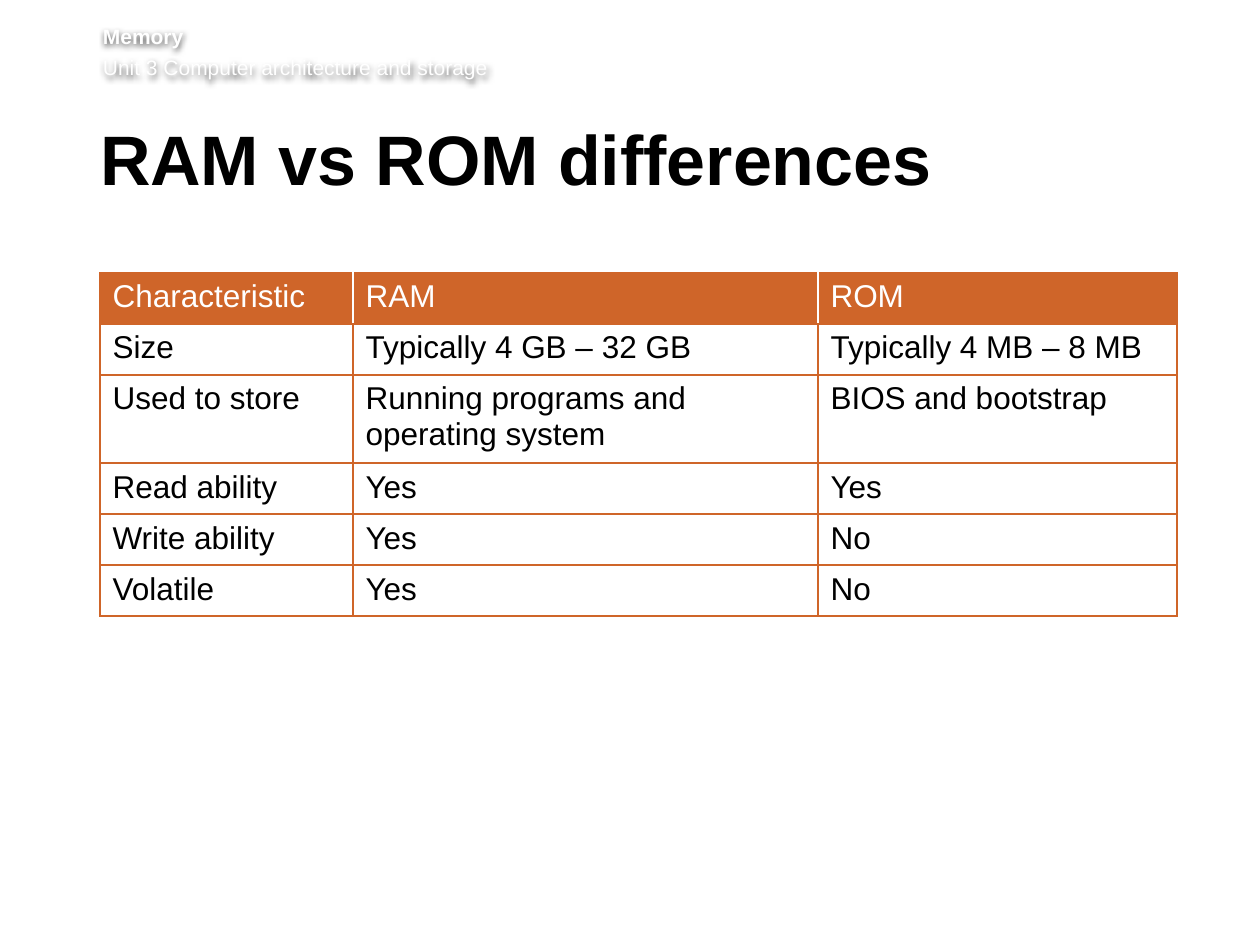
from typing import NamedTuple

from lxml.etree import SubElement
from pptx import Presentation
from pptx.dml.color import RGBColor
from pptx.enum.text import MSO_ANCHOR, MSO_AUTO_SIZE, PP_ALIGN
from pptx.oxml import parse_xml
from pptx.oxml.ns import nsdecls, qn
from pptx.util import Emu, Pt

PX = 914400 / 126
FONT = "Arial"
ORANGE, WHITE, BLACK = "CF6529", "FFFFFF", "000000"


class Row(NamedTuple):
    characteristic: str
    ram: str
    rom: str
    height: int = 51


ROWS = [
    Row("Characteristic", "RAM", "ROM"),
    Row("Size", "Typically 4 GB – 32 GB", "Typically 4 MB – 8 MB"),
    Row("Used to store", "Running programs and operating system",
        "BIOS and bootstrap", 83),
    Row("Read ability", "Yes", "Yes"),
    Row("Write ability", "Yes", "No"),
    Row("Volatile", "Yes", "No"),
]
COLUMN_WIDTHS = [253, 465, 359]


def px(n: int) -> Emu:
    return Emu(round(n * PX))


def rgb(color: str) -> RGBColor:
    return RGBColor.from_string(color)


def style(p, size: int, color: str, bold: bool = False) -> None:
    p.font.name, p.font.size, p.font.bold = FONT, Pt(size), bold
    p.font.color.rgb = rgb(color)


def set_margins(tf, left: int, top: int, right: int, bottom: int) -> None:
    tf.margin_left, tf.margin_top = px(left), px(top)
    tf.margin_right, tf.margin_bottom = px(right), px(bottom)


def add_border(cell, side: str, color: str) -> None:
    ln = SubElement(cell._tc.get_or_add_tcPr(), qn(f"a:ln{side}"), w=str(Pt(1)))
    fill = SubElement(ln, qn("a:solidFill"))
    SubElement(fill, qn("a:srgbClr"), val=color)


def add_header(slide, lines: list[str]) -> None:
    s = slide.shapes.add_textbox(px(103), px(24), px(1111), px(59))
    tf = s.text_frame
    tf.word_wrap = True
    set_margins(tf, 0, 0, 0, 6)
    tf.text = "\n".join(lines)
    for i, p in enumerate(tf.paragraphs):
        style(p, 12, WHITE, bold=i == 0)
        p.space_before = Pt(2.9 if i else 0)
    # Soft shadow that makes the white text readable
    s._element.spPr.append(parse_xml(
        f'<a:effectLst {nsdecls("a")}>'
        '<a:outerShdw blurRad="38100" dist="12700" dir="2700000">'
        '<a:srgbClr val="000000"><a:alpha val="60000"/></a:srgbClr>'
        '</a:outerShdw></a:effectLst>'))


def add_title(slide, text: str) -> None:
    s = slide.shapes.title
    s.left, s.top, s.width, s.height = px(100), px(125), px(1077), px(92)
    tf = s.text_frame
    tf.word_wrap, tf.auto_size = True, MSO_AUTO_SIZE.NONE
    tf.vertical_anchor = MSO_ANCHOR.TOP
    set_margins(tf, 0, 6, 13, 6)
    tf.text = text
    p = tf.paragraphs[0]
    p.alignment = PP_ALIGN.LEFT
    p.line_spacing, p.space_after = Pt(39), Pt(15)
    style(p, 40, BLACK, bold=True)


def add_comparison(slide, rows: list[Row], widths: list[int]) -> None:
    table = slide.shapes.add_table(
        len(rows), len(widths), px(100), px(273),
        px(sum(widths)), px(sum(row.height for row in rows))).table
    table.horz_banding = False
    for column, width in zip(table.columns, widths):
        column.width = px(width)
    last = len(widths) - 1
    for r, row in enumerate(rows):
        table.rows[r].height = px(row.height)
        is_head = r == 0
        for c, text in enumerate(row[:-1]):
            cell = table.cell(r, c)
            cell.text = text
            style(cell.text_frame.paragraphs[0], 18, WHITE if is_head else BLACK)
            # Borders come before the fill; inner header dividers are white
            add_border(cell, "L", WHITE if is_head and c > 0 else ORANGE)
            add_border(cell, "R", WHITE if is_head and c < last else ORANGE)
            add_border(cell, "T", ORANGE)
            add_border(cell, "B", ORANGE)
            if is_head:
                cell.fill.solid()
                cell.fill.fore_color.rgb = rgb(ORANGE)
            else:
                cell.fill.background()


def main() -> None:
    prs = Presentation()
    prs.slide_width, prs.slide_height = px(1260), px(945)
    slide = prs.slides.add_slide(prs.slide_layouts[5])
    add_header(slide, ["Memory", "Unit 3 Computer architecture and storage"])
    add_title(slide, "RAM vs ROM differences")
    add_comparison(slide, ROWS, COLUMN_WIDTHS)
    prs.save("out.pptx")


if __name__ == "__main__":
    main()
